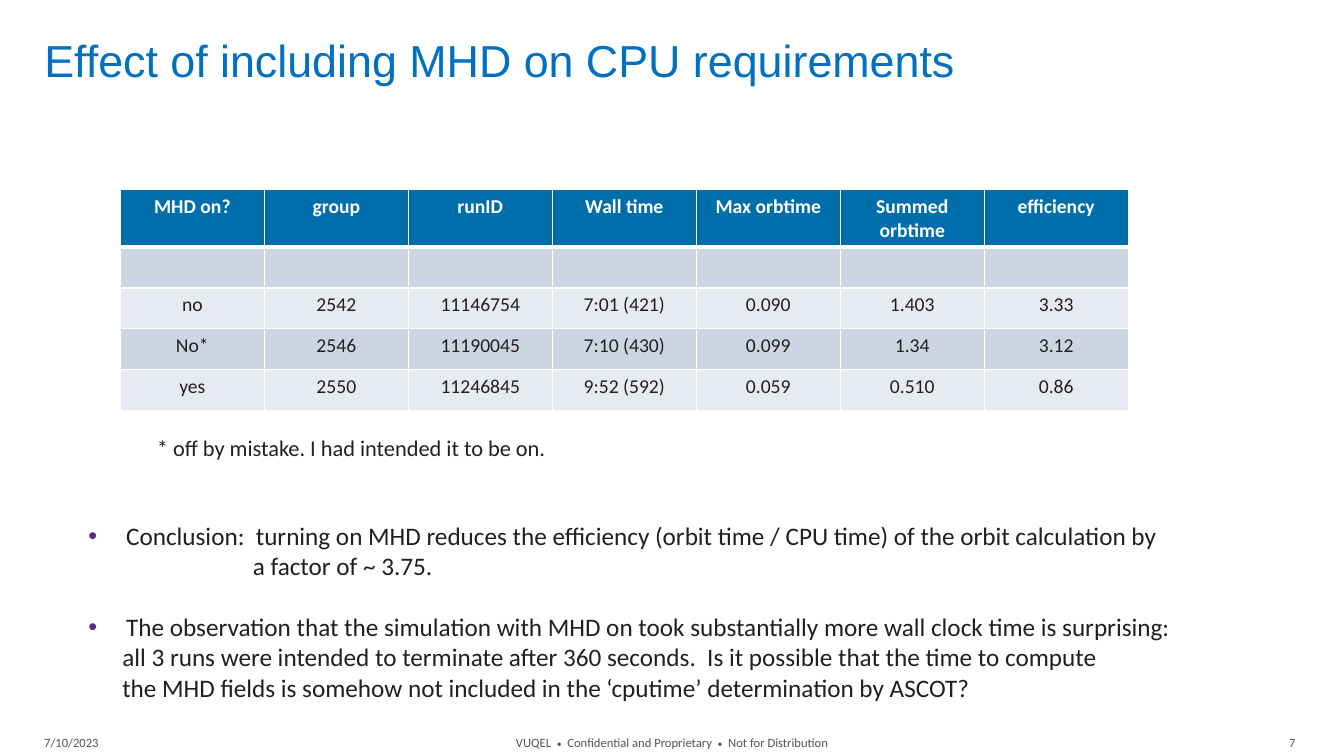
from lxml.etree import SubElement
from pptx import Presentation
from pptx.dml.color import RGBColor
from pptx.enum.text import MSO_ANCHOR as Anchor, PP_ALIGN as Align
from pptx.oxml.ns import qn
from pptx.util import Pt

BLUE = RGBColor(0x00, 0x70, 0xC0)
HEADER_BLUE = RGBColor(0x00, 0x6E, 0xAB)
BAND_DARK = RGBColor(0xCC, 0xD5, 0xE2)
BAND_LIGHT = RGBColor(0xE7, 0xEB, 0xF1)
INK = RGBColor(0x23, 0x1F, 0x20)
GREY = RGBColor(0x55, 0x55, 0x56)
PURPLE = RGBColor(0x5D, 0x28, 0x81)
WHITE = RGBColor(0xFF, 0xFF, 0xFF)


class SlideBuilder:
    """Holds the style and the current slide."""

    font_name = "Calibri"

    def __init__(self, presentation):
        self.slide = presentation.slides.add_slide(presentation.slide_layouts[5])

    def run(self, paragraph, text, size, color=INK, **formats):
        font = paragraph.add_run().font
        paragraph.runs[-1].text = text
        font.color.rgb = color
        for name, value in {"name": self.font_name, "size": Pt(size), **formats}.items():
            setattr(font, name, value)

    def title(self, text, left, top, width, height):
        shape = self.slide.shapes.title
        place = {"left": left, "top": top, "width": width, "height": height}
        for name, value in place.items():
            setattr(shape, name, Pt(value))
        frame = shape.text_frame
        frame.vertical_anchor = Anchor.TOP
        paragraph = frame.paragraphs[0]
        for name, value in {"alignment": Align.LEFT, "line_spacing": 0.9}.items():
            setattr(paragraph, name, value)
        self.run(paragraph, text, 32, BLUE, name="Arial")

    def text_box(self, left, top, width, height, **formats):
        box = self.slide.shapes.add_textbox(Pt(left), Pt(top), Pt(width), Pt(height))
        for name, value in {"word_wrap": True, **formats}.items():
            setattr(box.text_frame, name, value)
        return box.text_frame

    def footer(self, left, width, alignment, parts):
        frame = self.text_box(left, 520, width, 20.5, vertical_anchor=Anchor.MIDDLE,
                              margin_top=0, margin_bottom=0)
        paragraph = frame.paragraphs[0]
        paragraph.alignment = alignment
        for text in parts:
            self.run(paragraph, text, 7 if text == "•" else 9, GREY)

    def paragraphs(self, frame, lines, size):
        """Each line is its text, left indent, bullet flag and space before."""
        for index, (text, indent, bullet, space) in enumerate(lines):
            paragraph = frame.add_paragraph() if index else frame.paragraphs[0]
            paragraph.space_before = Pt(space)
            properties = paragraph._p.get_or_add_pPr()
            properties.set("marL", str(Pt(indent)))
            if bullet:
                properties.set("indent", str(-Pt(indent)))
                color = SubElement(properties, qn("a:buClr"))
                SubElement(color, qn("a:srgbClr"), val=str(PURPLE))
                SubElement(properties, qn("a:buFont"), typeface="Arial")
                SubElement(properties, qn("a:buChar"), char="•")
            self.run(paragraph, text, size)

    def cell_borders(self, cell, bottom):
        properties = cell._tc.get_or_add_tcPr()
        sides = {"a:lnL": 1, "a:lnR": 1, "a:lnT": 1, "a:lnB": bottom}
        for position, (side, width) in enumerate(sides.items()):
            line = properties.makeelement(qn(side), {"w": str(Pt(width))})
            fill = SubElement(line, qn("a:solidFill"))
            SubElement(fill, qn("a:srgbClr"), val=str(WHITE))
            properties.insert(position, line)

    def table(self, rows, left, top, column_width, header_height, row_height):
        columns = len(rows[0])
        height = header_height + row_height * (len(rows) - 1)
        table = self.slide.shapes.add_table(
            len(rows), columns, Pt(left), Pt(top),
            Pt(column_width * columns), Pt(height)).table
        for column in table.columns:
            column.width = Pt(column_width)
        for row_index, values in enumerate(rows):
            header = row_index == 0
            band = BAND_DARK if row_index % 2 else BAND_LIGHT
            table.rows[row_index].height = Pt(header_height if header else row_height)
            for column_index, value in enumerate(values):
                cell = table.cell(row_index, column_index)
                cell.fill.solid()
                cell.fill.fore_color.rgb = HEADER_BLUE if header else band
                self.cell_borders(cell, 3 if header else 1)
                if value:
                    paragraph = cell.text_frame.paragraphs[0]
                    paragraph.alignment = Align.CENTER
                    self.run(paragraph, value, 14, WHITE if header else INK, bold=header)


def main():
    presentation = Presentation()
    presentation.slide_width = Pt(960)
    presentation.slide_height = Pt(540)
    builder = SlideBuilder(presentation)

    # Footer
    builder.footer(24.5, 340, Align.LEFT, ["7/10/2023"])
    builder.footer(795, 137.5, Align.RIGHT, ["7"])
    builder.footer(310, 340, Align.CENTER, [
        "VUQEL  ", "•", "  Confidential and Proprietary  ", "•",
        "  Not for Distribution"])

    # Title
    builder.title("Effect of including MHD on CPU requirements", 24.5, 23.75, 844, 49.5)

    # Run comparison
    builder.table([
        ["MHD on?", "group", "runID", "Wall time", "Max orbtime",
         "Summed orbtime", "efficiency"],
        [""] * 7,
        ["no", "2542", "11146754", "7:01 (421)", "0.090", "1.403", "3.33"],
        ["No*", "2546", "11190045", "7:10 (430)", "0.099", "1.34", "3.12"],
        ["yes", "2550", "11246845", "9:52 (592)", "0.059", "0.510", "0.86"],
    ], 86, 135.5, 102.86, 41, 29.2)

    # Table note
    note = builder.text_box(105, 306.7, 400, 30)
    builder.paragraphs(note, [
        ("* off by mistake. I had intended it to be on.", 0, False, 0)], 16)

    # Conclusions
    conclusions = builder.text_box(56, 368, 850, 142)
    builder.paragraphs(conclusions, [
        ("Conclusion:  turning on MHD reduces the efficiency (orbit time / CPU time) "
         "of the orbit calculation by", 27, True, 0),
        ("a factor of ~ 3.75.", 117.5, False, 0),
        ("The observation that the simulation with MHD on took substantially more "
         "wall clock time is surprising:", 27, True, 22),
        ("all 3 runs were intended to terminate after 360 seconds.  Is it possible "
         "that the time to compute", 24.3, False, 0),
        ("the MHD fields is somehow not included in the ‘cputime’ determination "
         "by ASCOT?", 24.3, False, 0),
    ], 18)

    presentation.save("out.pptx")


if __name__ == "__main__":
    main()
